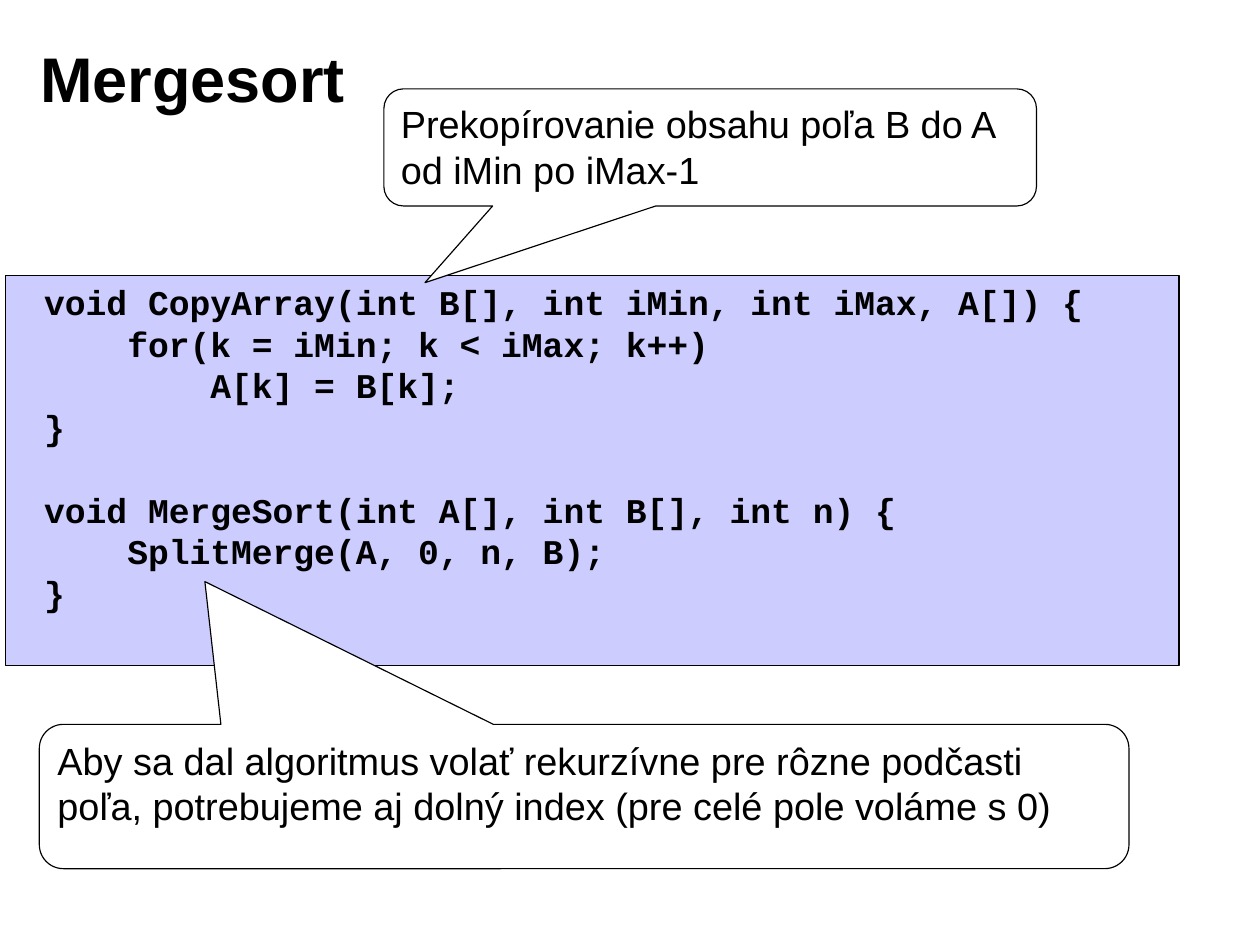
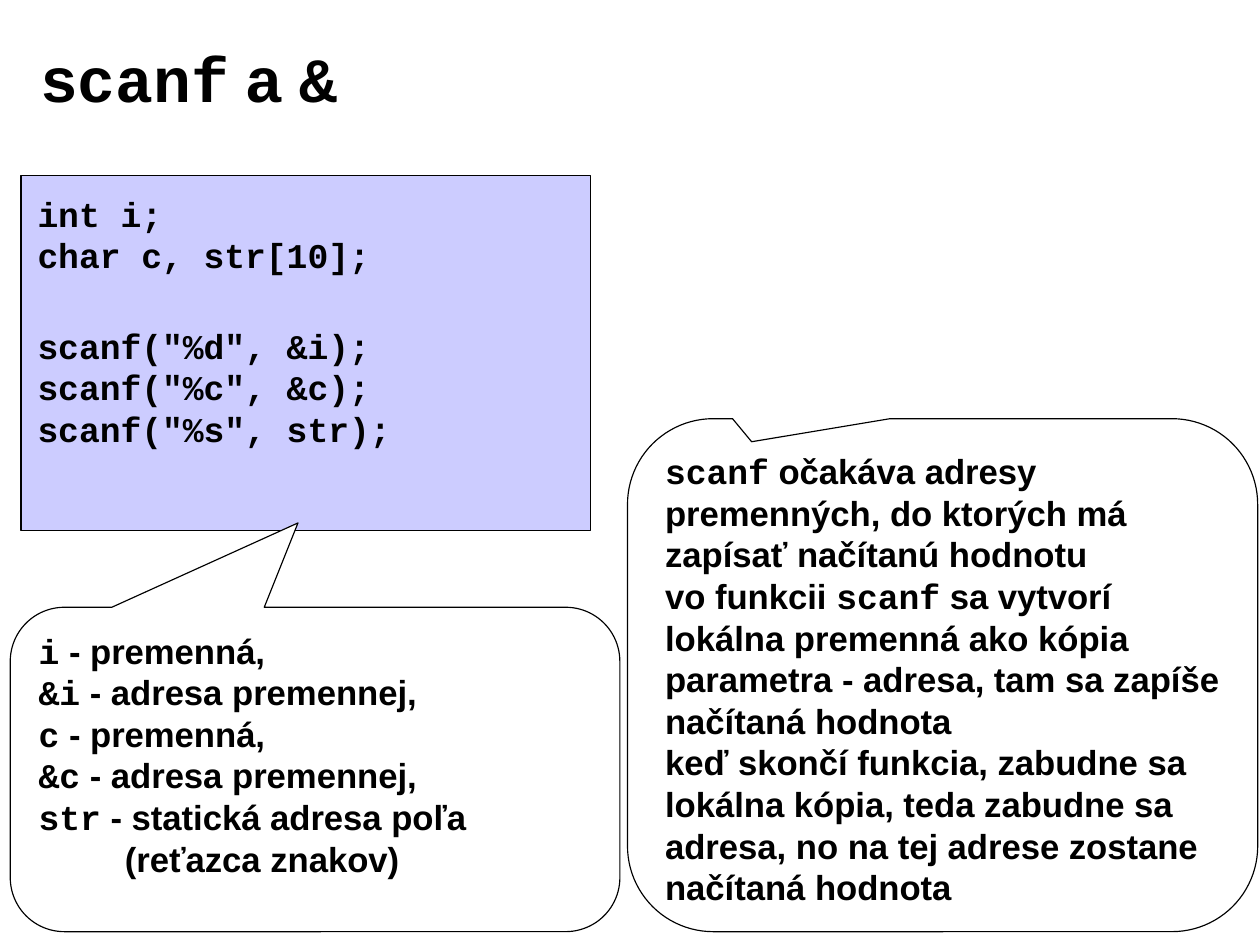
import pptx
import pptx.dml.color
import pptx.enum.shapes
import pptx.enum.text
import pptx.util

Cm = pptx.util.Cm
Pt = pptx.util.Pt
SHAPE = pptx.enum.shapes.MSO_SHAPE
ANCHOR = pptx.enum.text.MSO_ANCHOR

BLACK = pptx.dml.color.RGBColor(0x00, 0x00, 0x00)
WHITE = pptx.dml.color.RGBColor(0xFF, 0xFF, 0xFF)
LILAC = pptx.dml.color.RGBColor(0xCC, 0xCC, 0xFF)
SANS = "Arial"
MONO = "Courier New"


def set_frame(tf, anchor, left, top):
    """Set wrapping, anchor and insets (cm) of a text frame."""
    tf.word_wrap = True
    tf.vertical_anchor = anchor
    tf.margin_left, tf.margin_right = Cm(left), Cm(0.25)
    tf.margin_top = tf.margin_bottom = Cm(top)


def write(tf, paragraphs, size, bold=True):
    """Write paragraphs, each a list of (text, font) runs, and return them."""
    for i, runs in enumerate(paragraphs):
        p = tf.paragraphs[0] if i == 0 else tf.add_paragraph()
        p.alignment = pptx.enum.text.PP_ALIGN.LEFT
        for text, font in runs:
            r = p.add_run()
            r.text = text
            r.font.name, r.font.size, r.font.bold = font, Pt(size), bold
            r.font.color.rgb = BLACK
    return tf.paragraphs


def add_outlined(slide, kind, box, fill):
    """Add a filled shape with a thin black outline; box is in cm."""
    sp = slide.shapes.add_shape(kind, *map(Cm, box))
    sp.shadow.inherit = False
    sp.fill.solid()
    sp.fill.fore_color.rgb = fill
    sp.line.color.rgb = BLACK
    sp.line.width = Pt(0.75)
    return sp


def add_title(slide, runs):
    """Add the slide title."""
    sp = slide.shapes.add_textbox(Cm(0.63), Cm(0.43), Cm(22.66), Cm(2.59))
    set_frame(sp.text_frame, ANCHOR.MIDDLE, 0.27, 0.15)
    write(sp.text_frame, [runs], 40)


def add_code(slide, box, left, top, blocks, gap):
    """Add a code panel whose blocks of lines are gap points apart."""
    tf = add_outlined(slide, SHAPE.RECTANGLE, box, LILAC).text_frame
    set_frame(tf, ANCHOR.TOP, left, top)
    lines = [line for block in blocks for line in block]
    paragraphs = write(tf, [[(line, MONO)] for line in lines], 22)
    start = 0
    for block in blocks[:-1]:
        start += len(block)
        paragraphs[start].space_before = Pt(gap)


def add_callout(slide, box, tip, inset, paragraphs, size, bold):
    """Add a rounded callout; tip is relative to the centre of the box."""
    sp = add_outlined(slide, SHAPE.ROUNDED_RECTANGULAR_CALLOUT, box, WHITE)
    for i, value in enumerate((*tip, 0.167)):
        sp.adjustments[i] = value
    set_frame(sp.text_frame, ANCHOR.TOP, inset, 0.14)
    return write(sp.text_frame, paragraphs, size, bold)


def build_mergesort(slide):
    """Build the slide on merge sort."""
    add_title(slide, [("Mergesort", SANS)])
    add_code(slide, (0.13, 6.17, 26.25, 8.72), 0.86, 0.12, [
        ["void CopyArray(int B[], int iMin, int iMax, A[]) {",
         "    for(k = iMin; k < iMax; k++)",
         "        A[k] = B[k];",
         "}"],
        ["void MergeSort(int A[], int B[], int n) {",
         "    SplitMerge(A, 0, n, B);",
         "}"],
    ], 26)
    add_callout(slide, (8.59, 1.99, 14.6, 2.62), (-0.437, 1.155), 0.25, [
        [("Prekopírovanie obsahu poľa B do A od iMin po iMax-1", SANS)],
    ], 24, False)
    add_callout(slide, (0.88, 16.21, 24.38, 3.23), (-0.348, -1.489), 0.25, [
        [("Aby sa dal algoritmus volať rekurzívne pre rôzne podčasti poľa, "
          "potrebujeme aj dolný index (pre celé pole voláme s 0)", SANS)],
    ], 24, False)


def build_scanf(slide):
    """Build the slide on scanf and addresses."""
    add_title(slide, [("scanf", MONO), (" a ", SANS), ("&", MONO)])
    add_code(slide, (0.47, 3.93, 12.75, 7.95), 0.37, 0.38, [
        ["int i;", "char c, str[10];"],
        ['scanf("%d", &i);', 'scanf("%c", &c);', 'scanf("%s", str);'],
    ], 31)
    add_callout(slide, (14.04, 9.37, 14.1, 11.48), (-0.303, -0.455), 0.28, [
        [("scanf", MONO),
         (" očakáva adresy premenných, do ktorých má zapísať načítanú hodnotu",
          SANS)],
        [("vo funkcii ", SANS), ("scanf", MONO),
         (" sa vytvorí lokálna premenná ako kópia parametra - adresa, "
          "tam sa zapíše načítaná hodnota", SANS)],
        [("keď skončí funkcia, zabudne sa lokálna kópia, teda zabudne sa "
          "adresa, no na tej adrese zostane načítaná hodnota", SANS)],
    ], 22, True)
    terms = [("i", "premenná,"), ("&i", "adresa premennej,"),
             ("c", "premenná,"), ("&c", "adresa premennej,"),
             ("str", "statická adresa poľa")]
    paragraphs = [[(name, MONO), (f" - {meaning}", SANS)]
                  for name, meaning in terms]
    paragraphs.append([("(reťazca znakov)", SANS)])
    ps = add_callout(slide, (0.23, 13.59, 13.64, 7.26), (-0.028, -0.76), 0.28,
                     paragraphs, 22, True)
    ps[-1]._p.get_or_add_pPr().set("marL", str(Cm(1.93)))


def main():
    """Build and save the presentation."""
    prs = pptx.Presentation()
    prs.slide_width, prs.slide_height = Cm(28.19), Cm(21.08)
    for build in (build_mergesort, build_scanf):
        build(prs.slides.add_slide(prs.slide_layouts[6]))
    prs.save("out.pptx")


if __name__ == "__main__":
    main()
